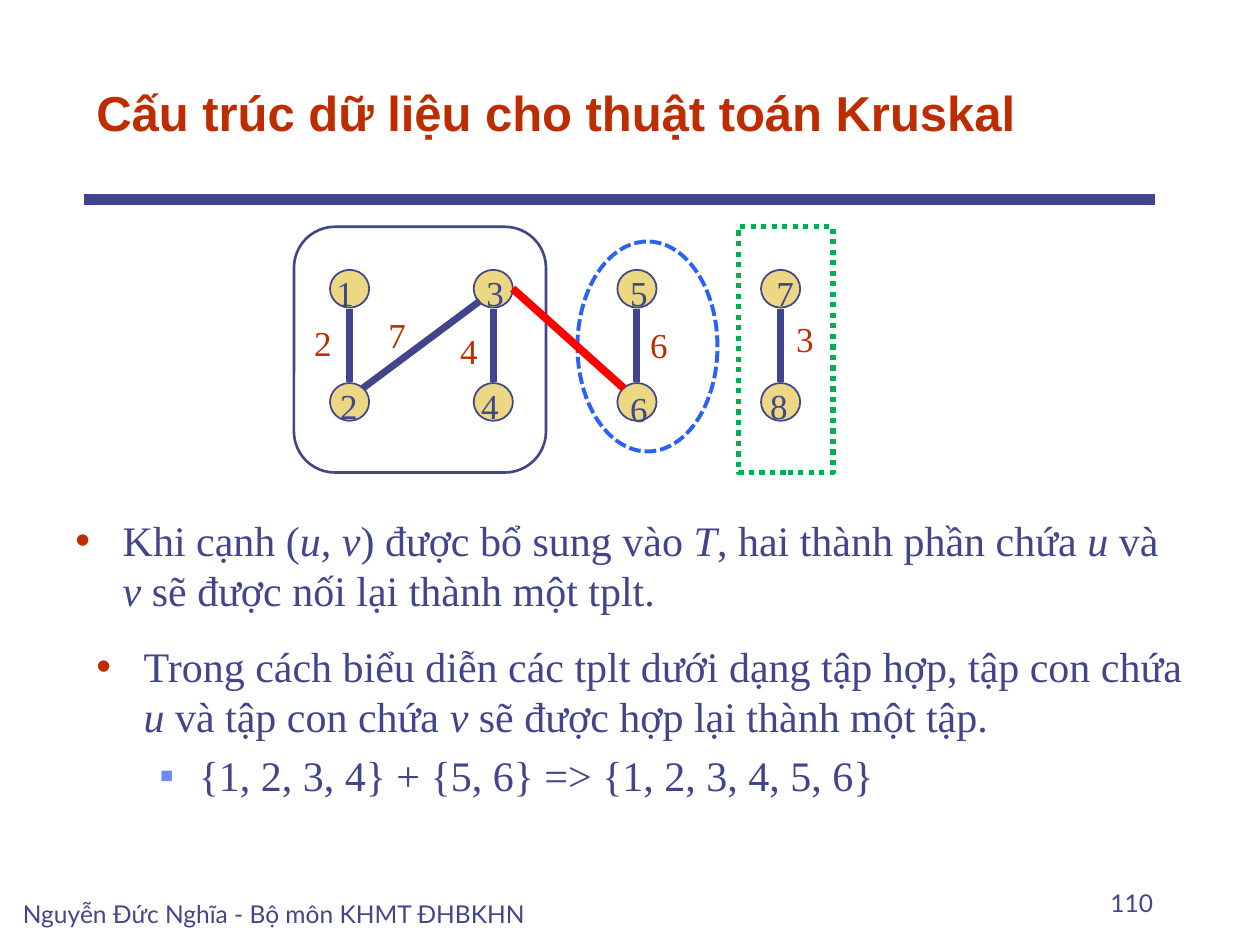
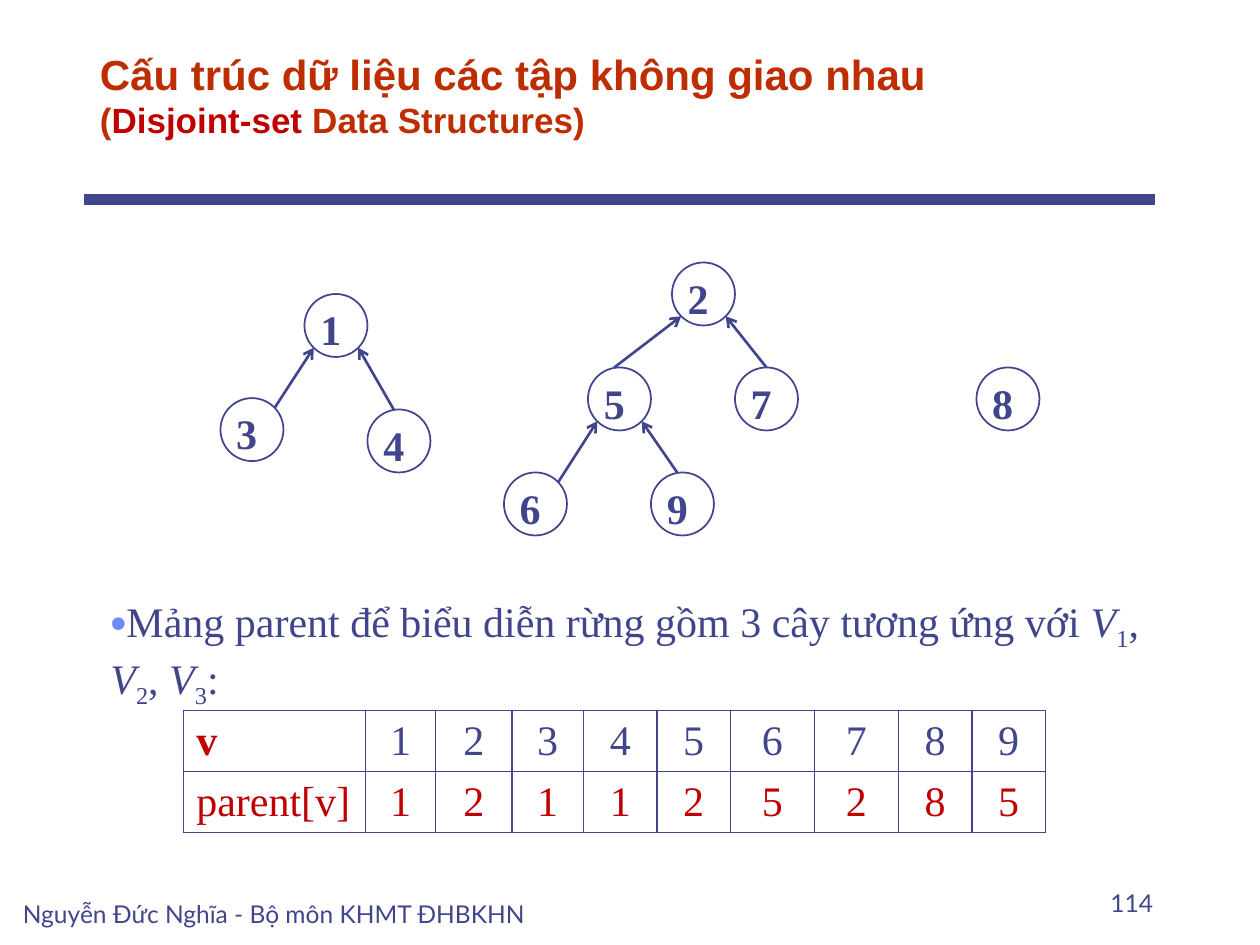
"""Build two slides on Kruskal's algorithm and disjoint-set data structures."""
from lxml import etree
from pptx import Presentation
from pptx.dml.color import RGBColor
from pptx.enum import dml, shapes, text
from pptx.oxml import ns
from pptx.util import Pt

INDIGO = RGBColor(0x40, 0x45, 0x8C)
RUST = RGBColor(0xBE, 0x2D, 0x00)
CRIMSON = RGBColor(0xC0, 0x00, 0x00)
SAND = RGBColor(0xEC, 0xD8, 0x82)
PERIWINKLE = RGBColor(0x6F, 0x89, 0xF7)
BLUE = RGBColor(0x2C, 0x61, 0xF6)
GREEN = RGBColor(0x00, 0xB0, 0x50)
RED = RGBColor(0xFF, 0x00, 0x00)
SERIF, SANS, FOOTER_FONT = "Times New Roman", "Arial", "Lato"
LEFT, CENTER, RIGHT = text.PP_ALIGN.LEFT, text.PP_ALIGN.CENTER, text.PP_ALIGN.RIGHT
FOOTER = "Nguyễn Đức Nghĩa - Bộ môn KHMT ĐHBKHN"
NODE_RADIUS = 18


def add_xml(parent, tag, **attributes):
    """Append a DrawingML element to its parent."""
    return etree.SubElement(parent, ns.qn("a:" + tag), **attributes)


def add_run(paragraph, words, size=24, color=INDIGO, font=SERIF, bold=False, style=""):
    """Add one run; style may be italic or subscript."""
    run = paragraph.add_run()
    run.text = words
    run.font.size, run.font.name, run.font.bold = Pt(size), font, bold
    run.font.italic = style == "italic"
    run.font.color.rgb = color
    if style == "subscript":
        run.font._element.set("baseline", "-25000")


def add_text_box(slide, left, top, width, height, align=LEFT, anchor=text.MSO_ANCHOR.TOP):
    """Add a wrapping text box and return its first paragraph."""
    frame = slide.shapes.add_textbox(Pt(left), Pt(top), Pt(width), Pt(height)).text_frame
    frame.word_wrap = True
    frame.vertical_anchor = anchor
    frame.paragraphs[0].alignment = align
    return frame.paragraphs[0]


def set_bullet(paragraph, mark, color, margin, indent, percent=100):
    """Give a paragraph a coloured bullet and its indents."""
    properties = paragraph._p.get_or_add_pPr()
    properties.set("marL", str(Pt(margin)))
    properties.set("indent", str(Pt(indent)))
    add_xml(add_xml(properties, "buClr"), "srgbClr", val=str(color))
    add_xml(properties, "buSzPct", val=str(percent * 1000))
    add_xml(properties, "buFont", typeface=SANS)
    add_xml(properties, "buChar", char=mark)


def add_styled_runs(paragraph, pieces):
    """Add body runs from pairs of words and style."""
    for words, style in pieces:
        add_run(paragraph, words, style=style)


def add_outline(slide, kind, left, top, width, height, color=INDIGO, weight=1.0, fill=None, dash=None):
    """Add a preset shape with an outline and an optional fill."""
    outline = slide.shapes.add_shape(kind, Pt(left), Pt(top), Pt(width), Pt(height))
    outline.shadow.inherit = False
    if fill is None:
        outline.fill.background()
    else:
        outline.fill.solid()
        outline.fill.fore_color.rgb = fill
    outline.line.color.rgb, outline.line.width = color, Pt(weight)
    if dash is not None:
        outline.line.dash_style = dash


def add_line(slide, start, end, weight, color=INDIGO, arrow=False):
    """Draw a straight line, with an arrowhead at its end if wanted."""
    line = slide.shapes.add_connector(shapes.MSO_CONNECTOR.STRAIGHT, *map(Pt, start + end))
    line.line.color.rgb, line.line.width = color, Pt(weight)
    if arrow:
        add_xml(line.line._get_or_add_ln(), "tailEnd", type="arrow")
    add_xml(line._element.spPr, "effectLst")


def add_label(slide, center, top, words, **font):
    """Write a short label centred on a horizontal position."""
    add_run(add_text_box(slide, center - 21, top, 42, 32, CENTER), words, **font)


def add_base(deck, number):
    """Add a slide with its rule, footer and number, and return the title paragraph too."""
    slide = deck.slides.add_slide(deck.slide_layouts[6])
    add_line(slide, (48, 114), (660, 114), 6)
    bottom = text.MSO_ANCHOR.BOTTOM
    title = add_text_box(slide, 48, 24, 612, 60, anchor=bottom)
    page = add_text_box(slide, 516, 492, 150, 36, RIGHT, bottom)
    add_run(page, number, 14, font=FOOTER_FONT)
    add_run(add_text_box(slide, 6, 498, 336, 36, anchor=bottom), FOOTER, 14, font=FOOTER_FONT)
    return slide, title


def add_components_graph(slide):
    """Draw the weighted graph and the outlines of its components."""
    columns = [199.8 + 82.1 * i for i in range(4)]
    upper, lower = 165, 229.7
    rows = ((upper, (("1", -2.5, 0), ("3", 1, 0), ("5", 1, 0), ("7", 2.5, 0))),
            (lower, (("2", -0.5, 0), ("4", -2, 0), ("6", 1, 1.5), ("8", -1, 0))))
    for middle, vertices in rows:
        for column, (vertex, shift, drop) in zip(columns, vertices):
            add_outline(slide, shapes.MSO_SHAPE.OVAL, column - 11.2, middle - 10.8, 22.4, 21.6, fill=SAND)
            add_label(slide, column + shift, middle - 13.5 + drop, vertex, size=20)
    for column in columns:
        add_line(slide, (column, upper + 11.4), (column, lower - 11.5), 4)
    add_line(slide, (207.4, 221.8), (274.3, 172), 4)
    weights = (("2", 184.5, 180), ("7", 227, 175.5), ("4", 268, 185), ("6", 376.5, 181.5), ("3", 460, 178))
    for weight, center, top in weights:
        add_label(slide, center, top, weight, size=20, color=RUST)
    add_outline(slide, shapes.MSO_SHAPE.ROUNDED_RECTANGLE, 168, 129.6, 144, 140.4, weight=1.5)
    add_outline(slide, shapes.MSO_SHAPE.OVAL, 330, 138, 80, 120, BLUE, 2.25, dash=dml.MSO_LINE.SQUARE_DOT)
    add_outline(slide, shapes.MSO_SHAPE.RECTANGLE, 422, 129.6, 54, 140.4, GREEN, 3, dash=dml.MSO_LINE.ROUND_DOT)
    add_line(slide, (293, 165), (356.4, 221.8), 4.5, RED)


def add_kruskal_slide(deck):
    """Show how adding an edge merges two components."""
    slide, title = add_base(deck, "110")
    add_run(title, "Cấu trúc dữ liệu cho thuật toán Kruskal", 28, RUST, SANS, True)
    merge = add_text_box(slide, 36, 290.5, 636, 84)
    set_bullet(merge, "•", RUST, 27, -27)
    add_styled_runs(merge, (
        ("Khi cạnh (", ""), ("u, v", "italic"), (") được bổ sung vào ", ""), ("T", "italic"),
        (", hai thành phần chứa ", ""), ("u", "italic"), (" và ", ""), ("v", "italic"),
        (" sẽ được nối lại thành một tplt.", "")))
    union = add_text_box(slide, 48, 362.5, 636, 120)
    set_bullet(union, "•", RUST, 27, -27)
    add_styled_runs(union, (
        ("Trong cách biểu diễn các tplt dưới dạng tập hợp, tập con chứa ", ""), ("u", "italic"),
        (" và tập con chứa ", ""), ("v", "italic"), (" sẽ được hợp lại thành một tập.", "")))
    example = union._parent.add_paragraph()
    example.level = 1
    example.space_before = Pt(4.8)
    set_bullet(example, "▪", PERIWINKLE, 58.5, -22.5)
    add_run(example, "{1, 2, 3, 4} + {5, 6} => {1, 2, 3, 4, 5, 6}")
    add_components_graph(slide)


def add_forest(slide):
    """Draw the three trees, with arrows from child to parent."""
    nodes = {"1": (192, 186), "3": (144, 245.5), "4": (228, 252), "2": (402, 168), "5": (354, 228),
             "7": (438, 228), "6": (306, 288), "9": (390, 288), "8": (576, 228)}
    for name, (x, y) in nodes.items():
        add_outline(slide, shapes.MSO_SHAPE.OVAL, x - NODE_RADIUS, y - NODE_RADIUS,
                    2 * NODE_RADIUS, 2 * NODE_RADIUS)
        add_label(slide, x - 3, y - NODE_RADIUS + 2, name, bold=True)
    corner, top, near_top = (13, -12.5), (0, -NODE_RADIUS), (-3, -NODE_RADIUS)
    links = (("3", "1", corner), ("4", "1", near_top), ("5", "2", near_top),
             ("7", "2", top), ("6", "5", corner), ("9", "5", near_top))
    for child, parent, (dx, dy) in links:
        (x, y), (parent_x, parent_y) = nodes[child], nodes[parent]
        side = 12.7 if x > parent_x else -12.7
        add_line(slide, (x + dx, y + dy), (parent_x + side, parent_y + 12.7), 1.5, arrow=True)


def set_borders(cell):
    """Draw a thin line on all four sides of a cell."""
    properties = cell._tc.get_or_add_tcPr()
    for index, side in enumerate(("lnL", "lnR", "lnT", "lnB")):
        border = etree.Element(ns.qn("a:" + side), w=str(Pt(1)))
        add_xml(add_xml(border, "solidFill"), "srgbClr", val=str(INDIGO))
        properties.insert(index, border)


def add_parent_table(slide):
    """Add the table of the parent array."""
    widths = (104, 40, 43.5, 41, 42, 42, 48, 48, 42, 42)
    rows = (("v", *"123456789"), ("parent[v]", *"121125285"))
    table = slide.shapes.add_table(2, len(widths), Pt(105), Pt(406), Pt(sum(widths)), Pt(67.5)).table
    table.first_row = table.horz_banding = False
    for column, width in zip(table.columns, widths):
        column.width = Pt(width)
    for r, values in enumerate(rows):
        table.rows[r].height = Pt(33.75)
        for c, value in enumerate(values):
            cell = table.cell(r, c)
            cell.fill.background()
            cell.margin_top = cell.margin_bottom = Pt(3)
            cell.vertical_anchor = text.MSO_ANCHOR.MIDDLE
            entry = cell.text_frame.paragraphs[0]
            entry.alignment = CENTER if c else LEFT
            add_run(entry, value, color=CRIMSON if r or not c else INDIGO, bold=value == "v")
            set_borders(cell)


def add_disjoint_set_slide(deck):
    """Show a forest of disjoint sets and its parent array."""
    slide, title = add_base(deck, "114")
    title._p.get_or_add_pPr().set("marL", str(Pt(2)))
    add_run(title, "Cấu trúc dữ liệu các tập không giao nhau", 24, RUST, SANS, True)
    title.add_line_break()
    for words, color in (("(", RUST), ("Disjoint-set ", CRIMSON), ("Data Structures)", RUST)):
        add_run(title, words, 20, color, SANS, True)
    array = add_text_box(slide, 54, 336.5, 606, 68)
    set_bullet(array, "•", PERIWINKLE, 2, 0, 110)
    add_run(array, "Mảng parent để biểu diễn rừng gồm 3 cây tương ứng với ")
    for index, separator in (("1", ", "), ("2", ", "), ("3", ":")):
        add_styled_runs(array, (("V", "italic"), (index, "subscript"), (separator, "")))
    add_parent_table(slide)
    add_forest(slide)


def main():
    """Create the deck and save it."""
    deck = Presentation()
    deck.slide_width, deck.slide_height = Pt(720), Pt(540)
    add_kruskal_slide(deck)
    add_disjoint_set_slide(deck)
    deck.save("out.pptx")


if __name__ == "__main__":
    main()
